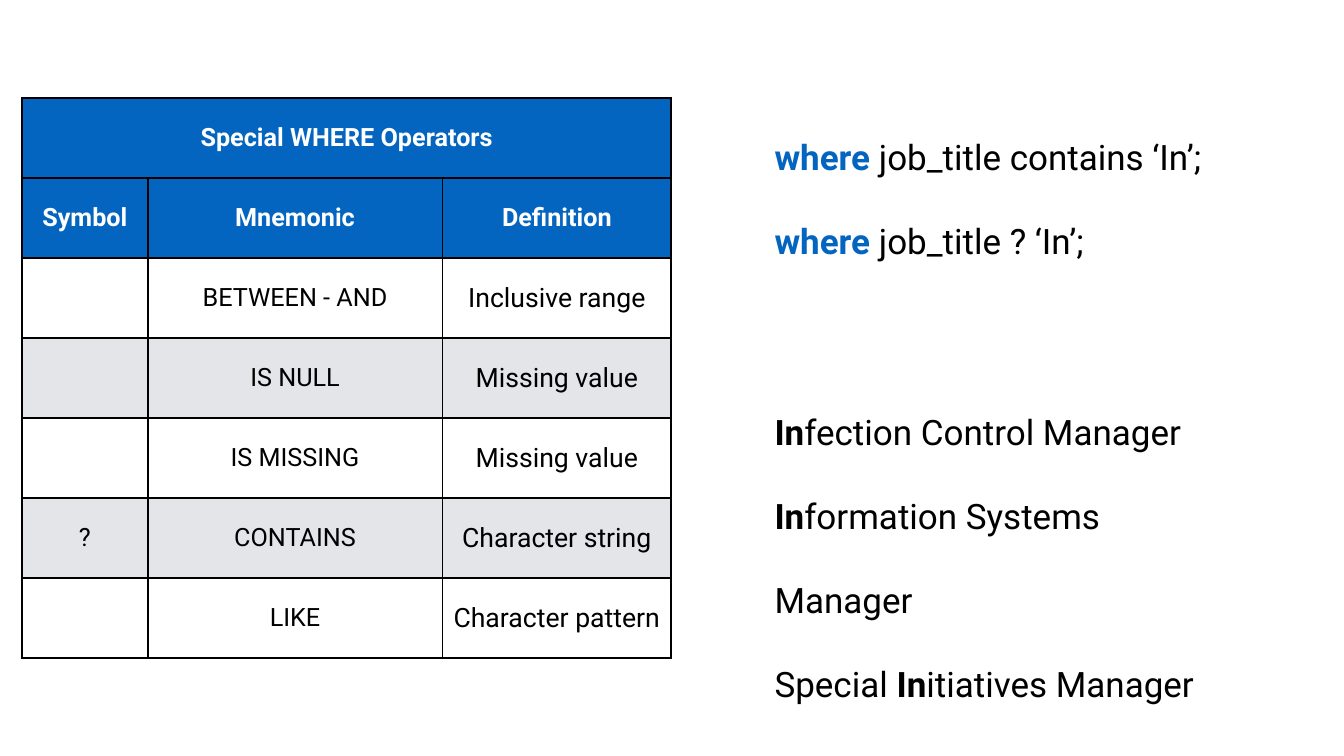
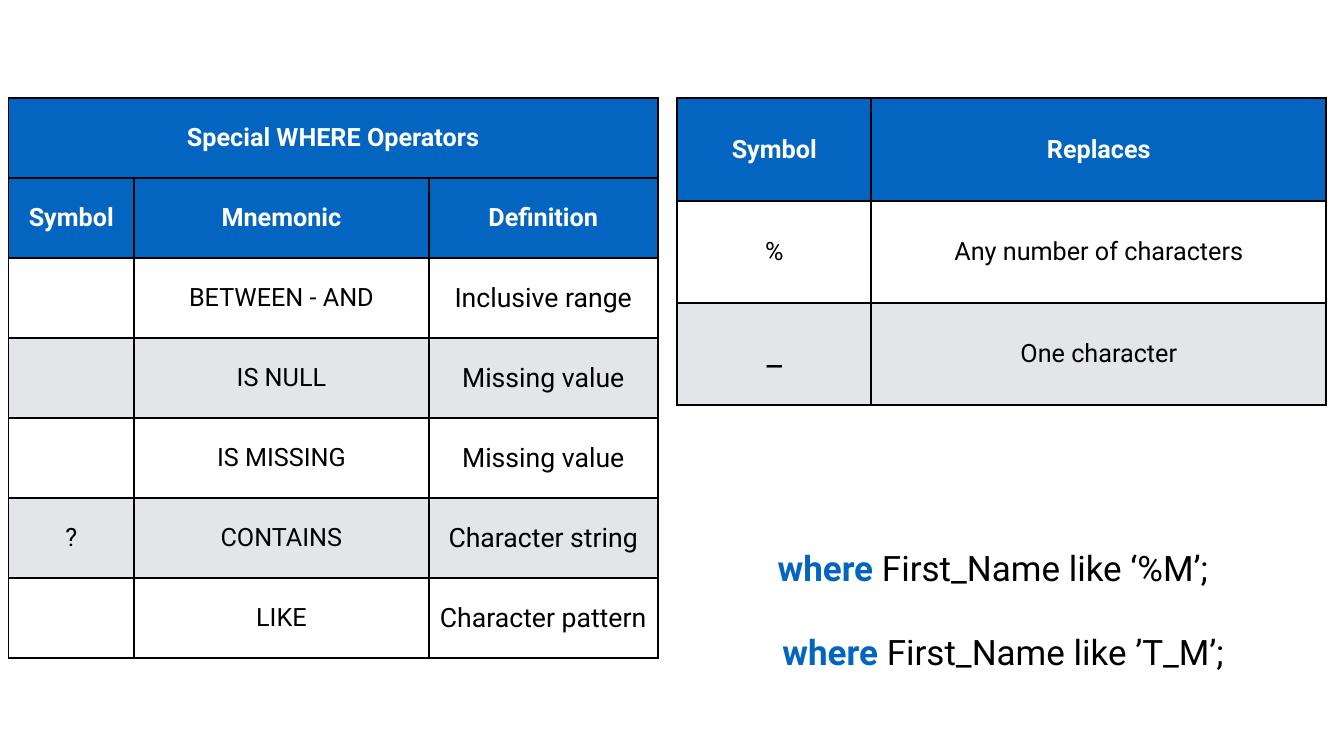
"""Two slides on special WHERE operators: reference tables with example clauses."""
from lxml import etree
from pptx import Presentation
from pptx import util as u
from pptx.dml.color import RGBColor
from pptx.enum import text
from pptx.oxml import ns

BLUE = RGBColor(0x03, 0x65, 0xC0)
GREY = RGBColor(0xE3, 0xE5, 0xE8)
WHITE = RGBColor(0xFF, 0xFF, 0xFF)
BLACK = RGBColor(0, 0, 0)
FONT = "Roboto"
HEAD_SIZE, EXAMPLE_SIZE = 36, 50
INSET = u.Inches(0.06)
BORDER = u.Pt(3)
TABLE_TOP = 1.95
LEFT, CENTER = text.PP_ALIGN.LEFT, text.PP_ALIGN.CENTER

OPERATORS = {
    "title": "Special WHERE Operators",
    "head": ("Symbol", "Mnemonic", "Definition"),
    "body": [
        ("", "BETWEEN - AND", "Inclusive range"),
        ("", "IS NULL", "Missing value"),
        ("", "IS MISSING", "Missing value"),
        ("?", "CONTAINS", "Character string"),
        ("", "LIKE", "Character pattern"),
    ],
    "cols": (2.49, 5.85, 4.54), "height": 11.11, "sizes": (36, 36, 38),
}
WILDCARDS = {
    "title": None,
    "head": ("Symbol", "Replaces"),
    "body": [("%", "Any number of characters"), ("_", "One character")],
    "cols": (3.85, 9.03), "height": 6.09, "sizes": (36, 36),
    "special": {"_": 49},
}

KEYWORD, STRONG, PLAIN = (BLUE, True), (BLACK, True), (BLACK, False)
SLIDES = [
    {
        "tables": [(0.44, OPERATORS)],
        "examples": [
            ((15.31, 2.21, 8.81, 2.61), [
                (LEFT, [("where", KEYWORD), (" job_title contains ‘In’;", PLAIN)]),
                (LEFT, [("where", KEYWORD), (" job_title ? ‘In’;", PLAIN)]),
            ]),
            ((15.31, 8.51, 9.44, 4.28), [
                (LEFT, [("In", STRONG), ("fection Control Manager", PLAIN)]),
                (LEFT, [("In", STRONG), ("formation Systems Manager", PLAIN)]),
                (LEFT, [("Special ", PLAIN), ("In", STRONG),
                        ("itiatives Manager", PLAIN)]),
            ]),
        ],
    },
    {
        "tables": [(0.17, OPERATORS), (13.44, WILDCARDS)],
        "examples": [
            ((15.37, 10.38, 9.08, 2.61), [
                (LEFT, [("where", KEYWORD), (" First_Name like ‘%M’;", PLAIN)]),
                (CENTER, [("where", KEYWORD), (" First_Name like ’T_M’;", PLAIN)]),
            ]),
        ],
    },
]


def style_font(font, size, color, bold):
    font.name, font.size, font.bold = FONT, u.Pt(size), bold
    font.color.rgb = color


def set_insets(obj):
    obj.margin_left = obj.margin_right = obj.margin_top = obj.margin_bottom = INSET


def draw_borders(cell):
    tcPr = cell._tc.get_or_add_tcPr()
    for side in ("a:lnL", "a:lnR", "a:lnT", "a:lnB"):
        ln = etree.SubElement(tcPr, ns.qn(side), w=str(BORDER))
        fill = etree.SubElement(ln, ns.qn("a:solidFill"))
        etree.SubElement(fill, ns.qn("a:srgbClr"), val=str(BLACK))


def style_cell(cell, words, size, color, bold, fill):
    set_insets(cell)
    cell.vertical_anchor = text.MSO_ANCHOR.MIDDLE
    draw_borders(cell)
    cell.fill.solid()
    cell.fill.fore_color.rgb = fill
    p = cell.text_frame.paragraphs[0]
    p.text = words
    p.alignment = CENTER
    for r in p.runs:
        style_font(r.font, size, color, bold)


def add_table(s, left, data):
    cols, special = data["cols"], data.get("special", {})
    heads = [data["head"]]
    if data["title"]:
        heads.insert(0, (data["title"],) + ("",) * (len(cols) - 1))
    rows = heads + data["body"]
    table = s.shapes.add_table(
        len(rows), len(cols), u.Inches(left), u.Inches(TABLE_TOP),
        u.Inches(sum(cols)), u.Inches(data["height"])).table
    for col, width in zip(table.columns, cols):
        col.width = u.Inches(width)
    for i, row in enumerate(rows):
        table.rows[i].height = u.Inches(data["height"] / len(rows))
        for j, words in enumerate(row):
            if i < len(heads):
                look = (HEAD_SIZE, WHITE, True, BLUE)
            else:
                band = GREY if (i - len(heads)) % 2 else WHITE
                look = (special.get(words, data["sizes"][j]), BLACK, False, band)
            style_cell(table.cell(i, j), words, *look)
    if data["title"]:
        table.cell(0, 0).merge(table.cell(0, len(cols) - 1))


def add_example(s, box, lines):
    tf = s.shapes.add_textbox(*map(u.Inches, box)).text_frame
    set_insets(tf)
    tf.word_wrap = True
    tf.auto_size = text.MSO_AUTO_SIZE.SHAPE_TO_FIT_TEXT
    tf.vertical_anchor = text.MSO_ANCHOR.MIDDLE
    for i, (align, runs) in enumerate(lines):
        p = tf.add_paragraph() if i else tf.paragraphs[0]
        p.alignment, p.line_spacing = align, 2.0
        for words, (color, bold) in runs:
            r = p.add_run()
            r.text = words
            style_font(r.font, EXAMPLE_SIZE, color, bold)


def main():
    prs = Presentation()
    prs.slide_width, prs.slide_height = u.Inches(26.67), u.Inches(15)
    for content in SLIDES:
        s = prs.slides.add_slide(prs.slide_layouts[6])
        for left, data in content["tables"]:
            add_table(s, left, data)
        for box, lines in content["examples"]:
            add_example(s, box, lines)
    prs.save("out.pptx")


if __name__ == "__main__":
    main()
